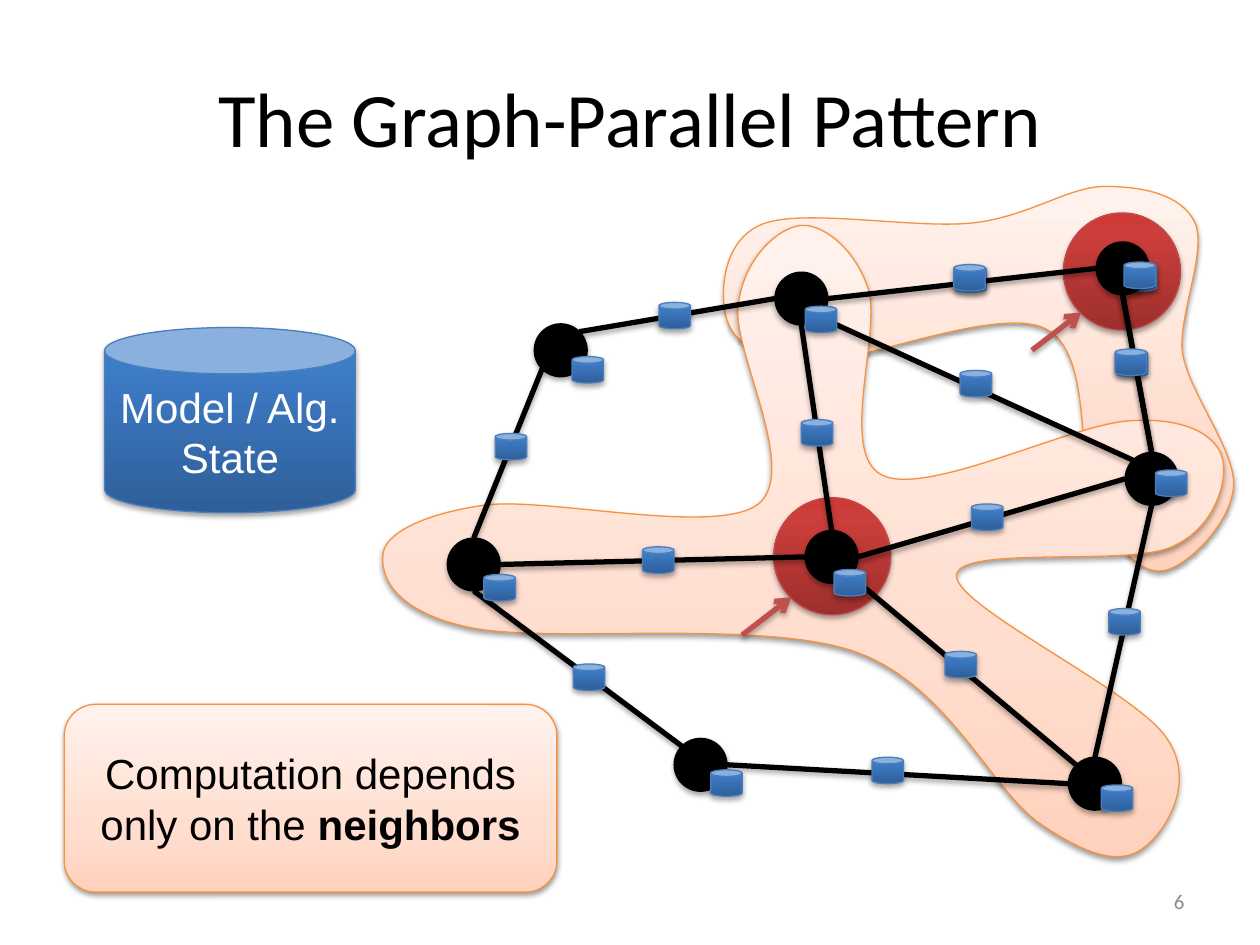
from lxml import etree
from pptx import Presentation
from pptx.dml.color import RGBColor
from pptx.enum.shapes import MSO_CONNECTOR, MSO_SHAPE
from pptx.enum.text import MSO_ANCHOR, PP_ALIGN
from pptx.oxml.ns import qn
from pptx.util import Inches, Pt

OVAL, CAN, ROUNDED = MSO_SHAPE.OVAL, MSO_SHAPE.CAN, MSO_SHAPE.ROUNDED_RECTANGLE
STRAIGHT = MSO_CONNECTOR.STRAIGHT
MIDDLE = MSO_ANCHOR.MIDDLE
CENTER, RIGHT = PP_ALIGN.CENTER, PP_ALIGN.RIGHT

COLORS = {
    "black": "000000", "white": "FFFFFF", "number": "8C8C8C", "pointer": "C0504D",
    "peach_line": "F69240", "red_line": "BF4C48", "blue_line": "4B7EBC",
}
GRADIENTS = {
    "peach": ((0, "FFD2BD"), (35, "FFDED0"), (100, "FFF2ED")),
    "red": ((0, "9C2F2D"), (80, "CB3E3A"), (100, "CE3B37")),
    "blue": ((0, "2F5F99"), (80, "3D7CC7"), (100, "3A7CCB")),
}

NODE_SIZE = 0.42
NODES = {
    "right": (8.93, 3.59), "left": (3.55, 4.27), "top": (6.15, 2.16),
    "center": (6.39, 4.21), "bottom_right": (8.48, 6.01),
    "upper_left": (4.24, 2.57), "bottom": (5.35, 5.86), "top_right": (8.7, 1.92),
}
SITES = {
    "n": (0.5, 0), "s": (0.5, 1), "w": (0, 0.5), "e": (1, 0.5),
    "nw": (0.15, 0.15), "ne": (0.85, 0.15), "sw": (0.15, 0.85), "se": (0.85, 0.85),
}
CENTER_EDGES = [
    ("center", "n", "top", "s"), ("left", "e", "center", "w"),
    ("center", "e", "right", "w"), ("center", "se", "bottom_right", "nw"),
]
OUTER_EDGES = [
    ("bottom", "e", "bottom_right", "w"), ("top", "w", "upper_left", "ne"),
    ("bottom", "nw", "left", "s"), ("upper_left", "sw", "left", "n"),
    ("bottom_right", "n", "right", "s"), ("top_right", "s", "right", "n"),
    ("top", "se", "right", "nw"),
]
TOP_RIGHT_EDGES = [("top_right", "w", "top", "e"), ("top_right", "s", "right", "n")]

STATES = [
    (3.84, 4.56), (6.39, 2.43), (6.62, 4.52), (8.74, 6.23), (9.17, 3.73),
    (5.1, 4.34), (6.36, 3.33), (7.71, 4), (7.5, 5.17), (4.54, 2.83),
    (5.64, 6.11), (8.93, 2.1), (5.23, 2.4), (3.93, 3.44), (7.58, 2.11),
    (7.62, 2.94), (8.86, 2.78), (8.8, 4.83), (6.92, 6.01), (4.55, 5.27),
]
TOP_RIGHT_STATES = [(8.92, 2.08), (7.57, 2.1), (8.85, 2.77)]

TOP_RIGHT_REGION = [
    (8.77, 1.48),
    (8.48, 1.48), (8.17, 1.72), (7.72, 1.77), (7.26, 1.82), (6.37, 1.65), (6.05, 1.78),
    (5.72, 1.91), (5.71, 2.36), (5.77, 2.54), (5.83, 2.72), (6.01, 2.85), (6.43, 2.87),
    (6.85, 2.88), (7.92, 2.42), (8.3, 2.61), (8.68, 2.8), (8.54, 3.7), (8.69, 4.02),
    (8.85, 4.34), (9.05, 4.56), (9.23, 4.53), (9.41, 4.51), (9.77, 4.16), (9.79, 3.86),
    (9.81, 3.56), (9.38, 3.05), (9.38, 2.74), (9.38, 2.43), (9.58, 1.97), (9.48, 1.76),
    (9.37, 1.54), (9.06, 1.48), (8.77, 1.48),
]
CENTER_REGION = [
    (6.02, 4),
    (6.35, 3.73), (5.8, 2.77), (5.86, 2.41), (5.91, 2.04), (6.18, 1.81), (6.35, 1.79),
    (6.52, 1.77), (6.78, 1.96), (6.89, 2.29), (7, 2.63), (6.65, 3.6), (7, 3.77),
    (7.35, 3.95), (8.52, 3.36), (8.97, 3.34), (9.42, 3.31), (9.65, 3.46), (9.7, 3.63),
    (9.75, 3.8), (9.65, 4.19), (9.3, 4.34), (8.95, 4.5), (7.6, 4.32), (7.59, 4.57),
    (7.59, 4.82), (9.02, 5.49), (9.26, 5.86), (9.51, 6.22), (9.23, 6.63), (9.06, 6.74),
    (8.89, 6.86), (8.64, 6.8), (8.26, 6.54), (7.87, 6.28), (7.53, 5.43), (6.78, 5.17),
    (6.02, 4.91), (4.35, 5.11), (3.73, 4.98), (3.11, 4.85), (3.02, 4.56), (3.04, 4.4),
    (3.05, 4.24), (3.35, 4.08), (3.84, 4.01), (4.34, 3.94), (5.68, 4.26), (6.02, 4),
]


def rgb(name):
    return RGBColor.from_string(COLORS[name])


def add_color(parent, value):
    return etree.SubElement(parent, qn("a:srgbClr"), val=value)


def add_shadow(effects, opacity=35, distance=1.8):
    shadow = etree.SubElement(
        effects, qn("a:outerShdw"), blurRad=str(Pt(3.1)), dist=str(Pt(distance)),
        dir="5400000", rotWithShape="0")
    etree.SubElement(add_color(shadow, COLORS["black"]), qn("a:alpha"), val=str(opacity * 1000))


def style(shape, fill, line):
    if fill in GRADIENTS:
        shape.fill.gradient()
        shape.fill.gradient_angle = 90
        stops = shape.element.spPr.find(qn("a:gradFill")).find(qn("a:gsLst"))
        for stop in list(stops):
            stops.remove(stop)
        for position, value in GRADIENTS[fill]:
            add_color(etree.SubElement(stops, qn("a:gs"), pos=str(position * 1000)), value)
    else:
        shape.fill.solid()
        shape.fill.fore_color.rgb = rgb(fill)
    shape.line.color.rgb = rgb(line)
    shape.line.width = Pt(0.75)
    shape.shadow.inherit = False
    effects = shape.element.spPr.find(qn("a:effectLst"))
    add_shadow(effects, *((38, 1.6) if fill == "peach" else ()))


def add_body(slide, preset, box, fill, line):
    body = slide.shapes.add_shape(preset, *map(Inches, box))
    style(body, fill, line)
    return body


def add_region(slide, box, points):
    left, top, width, height = map(Inches, box)
    anchors = [tuple(map(Inches, point)) for point in points[::3]]
    builder = slide.shapes.build_freeform(*anchors[0], scale=1.0)
    builder.add_line_segments(anchors[1:], close=True)
    region = builder.convert_to_shape()
    region.left, region.top, region.width, region.height = left, top, width, height
    outline = next(region.element.iter(qn("a:path")))
    outline.set("w", str(width))
    outline.set("h", str(height))
    start, *segments = outline
    for segment in segments:
        outline.remove(segment)
    start[0].set("x", str(anchors[0][0] - left))
    start[0].set("y", str(anchors[0][1] - top))
    for i in range(1, len(points), 3):
        curve = etree.SubElement(outline, qn("a:cubicBezTo"))
        for x, y in points[i:i + 3]:
            etree.SubElement(
                curve, qn("a:pt"), x=str(Inches(x) - left), y=str(Inches(y) - top))
    etree.SubElement(outline, qn("a:close"))
    style(region, "peach", "peach_line")


def add_line(slide, start, end, color="black", arrow=False):
    line = slide.shapes.add_connector(STRAIGHT, *map(Inches, (*start, *end)))
    line.line.color.rgb = rgb(color)
    line.line.width = Pt(3)
    properties = line.element.spPr
    if arrow:
        etree.SubElement(properties.find(qn("a:ln")), qn("a:tailEnd"), type="arrow")
    add_shadow(etree.SubElement(properties, qn("a:effectLst")))


def site_point(node, site):
    return tuple(corner + part * NODE_SIZE for corner, part in zip(NODES[node], SITES[site]))


def add_edges(slide, edges):
    for start, start_site, end, end_site in edges:
        add_line(slide, site_point(start, start_site), site_point(end, end_site))


def add_nodes(slide, names):
    for name in names:
        add_body(slide, OVAL, (*NODES[name], NODE_SIZE, NODE_SIZE), "black", "black")


def add_states(slide, places):
    for place in places:
        add_body(slide, CAN, (*place, 0.25, 0.21), "blue", "blue_line")


def add_focus(slide, left, top):
    add_body(slide, OVAL, (left, top, 0.93, 0.93), "red", "red_line")
    add_line(slide, (left - 0.25, top + 1.09), (left + 0.14, top + 0.79), "pointer", True)


def write(shape, lines, size, font, color, align=CENTER):
    frame = shape.text_frame
    frame.word_wrap = True
    frame.vertical_anchor = MIDDLE
    frame.text = "\n".join(lines)
    for paragraph in frame.paragraphs:
        paragraph.alignment = align
        for run in paragraph.runs:
            format_run(run, size, font, color)
    return frame


def format_run(run, size, font, color):
    run.font.size = Pt(size)
    run.font.name = font
    run.font.color.rgb = rgb(color)


def add_label(slide, box, text, size, color, align):
    write(slide.shapes.add_textbox(*map(Inches, box)), [text], size, "Calibri", color, align)


def main():
    deck = Presentation()
    deck.slide_width, deck.slide_height = Inches(10), Inches(7.5)
    slide = deck.slides.add_slide(deck.slide_layouts[6])

    add_region(slide, (5.74, 1.48, 4.05, 3.06), TOP_RIGHT_REGION)
    add_focus(slide, 8.44, 1.69)
    add_region(slide, (3.03, 1.79, 6.68, 5.01), CENTER_REGION)
    add_focus(slide, 6.14, 3.95)
    add_edges(slide, CENTER_EDGES)
    add_label(slide, (0.5, 0.3, 9, 1.25), "The Graph-Parallel Pattern", 44, "black", CENTER)
    add_label(slide, (7.17, 6.95, 2.33, 0.4), "6", 12, "number", RIGHT)
    add_nodes(slide, ["right", "left", "top", "center", "bottom_right"])
    add_edges(slide, OUTER_EDGES)
    add_nodes(slide, ["upper_left", "bottom"])

    model = add_body(slide, CAN, (0.83, 2.6, 1.99, 1.47), "blue", "blue_line")
    write(model, ["Model / Alg. ", "State"], 24, "Arial", "white")
    add_states(slide, STATES)

    message = add_body(slide, ROUNDED, (0.51, 5.59, 3.91, 1.49), "peach", "peach_line")
    sentence = write(message, ["Computation depends only on the "], 24, "Arial", "black")
    emphasis = sentence.paragraphs[0].add_run()
    emphasis.text = "neighbors"
    format_run(emphasis, 24, "Arial", "black")
    emphasis.font.bold = True

    add_edges(slide, TOP_RIGHT_EDGES)
    add_nodes(slide, ["top_right"])
    add_states(slide, TOP_RIGHT_STATES)
    deck.save("out.pptx")


if __name__ == "__main__":
    main()
